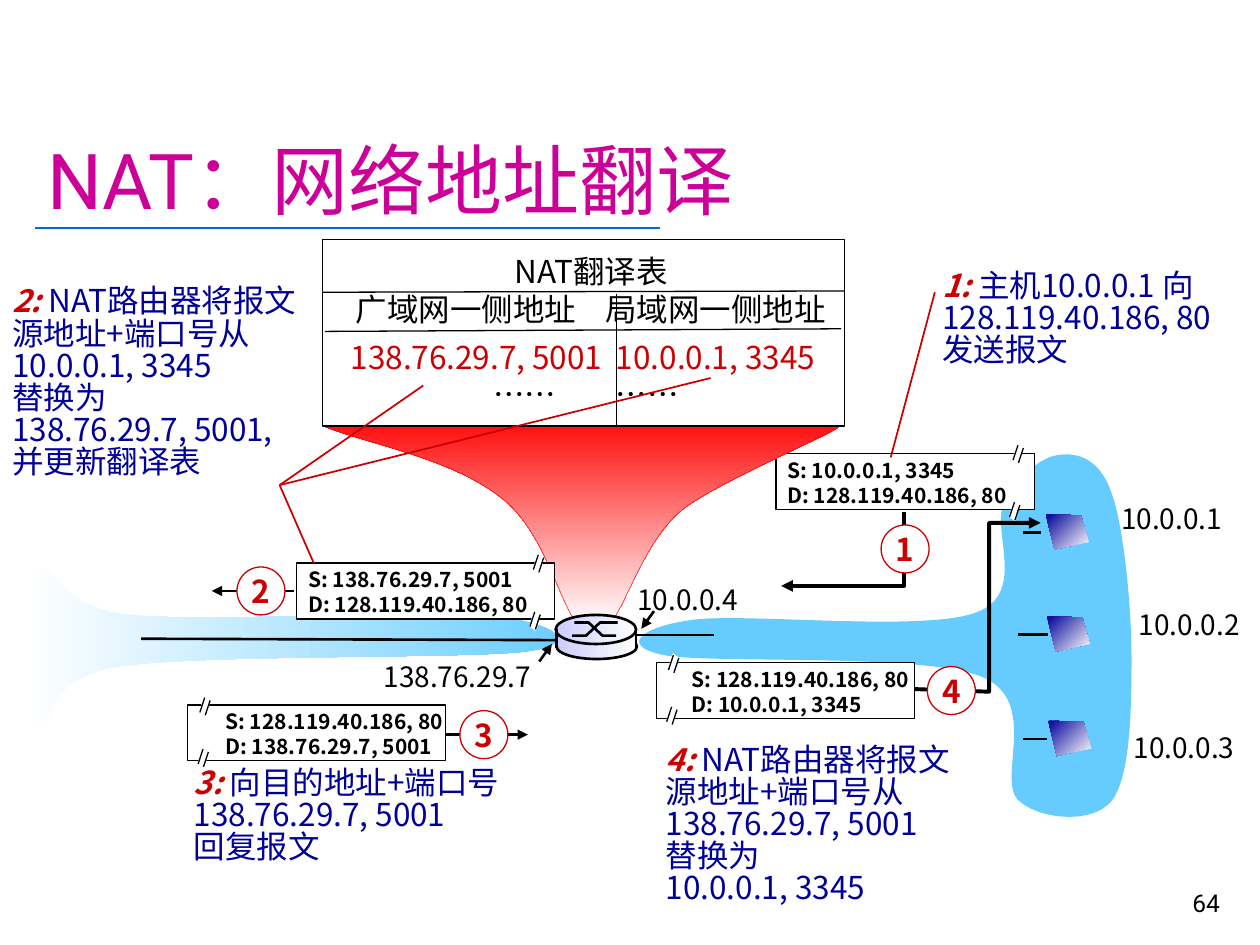
from lxml.etree import SubElement
from pptx import Presentation
from pptx.dml.color import RGBColor
from pptx.enum.shapes import MSO_CONNECTOR, MSO_SHAPE
from pptx.enum.text import MSO_ANCHOR, PP_ALIGN
from pptx.oxml.ns import qn
from pptx.util import Pt

BLACK = RGBColor(0x00, 0x00, 0x00)
WHITE = RGBColor(0xFF, 0xFF, 0xFF)
RED = RGBColor(0xCC, 0x00, 0x00)
FLAME = RGBColor(0xFF, 0x00, 0x00)
NAVY = RGBColor(0x00, 0x00, 0x99)
SKY = RGBColor(0x66, 0xCC, 0xFF)
LILAC = RGBColor(0xCC, 0xCC, 0xFF)
MAGENTA = RGBColor(0xCC, 0x00, 0x99)
BLUE = RGBColor(0x00, 0x70, 0xC0)
FONT = "Noto Sans CJK SC"


def text(slide, box, lines, shape=None, size=18, color=BLACK, bold=False, font=FONT,
         align=PP_ALIGN.LEFT, anchor=MSO_ANCHOR.TOP, spacing=None, lead="", inset=7.2, tabs=()):
    """Write one paragraph a line; a newline is a line break, lead a red opening run."""
    shape = shape or slide.shapes.add_textbox(*map(Pt, box))
    frame = shape.text_frame
    frame.word_wrap = True
    frame.vertical_anchor = anchor
    frame.margin_left = frame.margin_right = Pt(inset)
    for i, line in enumerate(lines):
        para = frame.paragraphs[0] if i == 0 else frame.add_paragraph()
        para.alignment = align
        if spacing:
            para.line_spacing = spacing
        if "\t" in line:
            stops = SubElement(para._p.get_or_add_pPr(), qn("a:tabLst"))
            for tab in tabs:
                SubElement(stops, qn("a:tab"), pos=str(Pt(tab)), algn="l")
        runs = [(lead, RED, True)] if lead and i == 0 else []
        for j, part in enumerate(line.split("\n")):
            if j:
                runs.append(None)
            runs.append((part, color, bold))
        for item in runs:
            if item is None:
                para.add_line_break()
                continue
            run = para.add_run()
            run.text, run.font.color.rgb, run.font.bold = item
            run.font.size, run.font.name = Pt(size), font
            run.font.italic = item[0] == lead
            SubElement(run.font._element, qn("a:ea"), typeface=FONT)
    return shape


def style(shape, fill=None, line=None, width=0.75, angle=0):
    """Fill with a colour or a pair of gradient colours, then set the outline."""
    shape.shadow.inherit = False
    if fill is None:
        shape.fill.background()
    elif isinstance(fill, list):
        shape.fill.gradient()
        shape.fill.gradient_angle = -angle % 360
        for stop, color in zip(shape.fill.gradient_stops, fill):
            stop.color.rgb = color
    else:
        shape.fill.solid()
        shape.fill.fore_color.rgb = fill
    if line is None:
        shape.line.fill.background()
    else:
        shape.line.color.rgb = line
        shape.line.width = Pt(width)
    return shape


def preset(slide, kind, box, **look):
    return style(slide.shapes.add_shape(kind, *map(Pt, box)), **look)


def outline(slide, x, y, points, close=True, **look):
    spots = [(Pt(x + a), Pt(y + b)) for a, b in points]
    maker = slide.shapes.build_freeform(*spots[0])
    maker.add_line_segments(spots[1:], close=close)
    return style(maker.convert_to_shape(), **look)


def curve(slide, x, y, points, **look):
    """Closed outline of cubic Bezier curves: a start, then three points each."""
    shape = outline(slide, x, y, points, close=False, **look)
    path = next(shape._element.iter(qn("a:path")))
    for i, step in enumerate(path.findall(qn("a:lnTo"))):
        if i % 3 == 0:
            bend = SubElement(path, qn("a:cubicBezTo"))
        bend.append(step[0])
        path.remove(step)
    SubElement(path, qn("a:close"))


def arrow(shape, end):
    SubElement(shape._element.spPr.get_or_add_ln(), qn("a:" + end), type="triangle")


def line(slide, x1, y1, x2, y2, color=BLACK, width=1.5, tip=False):
    link = slide.shapes.add_connector(MSO_CONNECTOR.STRAIGHT, *map(Pt, (x1, y1, x2, y2)))
    link.line.color.rgb = color
    link.line.width = Pt(width)
    if tip:
        arrow(link, "tailEnd")
    SubElement(link._element.spPr, qn("a:effectLst"))


def route(slide, x, y, points):
    """Bent thick line with its arrowhead at the first point."""
    arrow(outline(slide, x, y, points, close=False, line=BLACK, width=2.25), "headEnd")


def badge(slide, x, y, label):
    disc = preset(slide, MSO_SHAPE.OVAL, (x, y, 27.4, 27.4), fill=WHITE, line=RED)
    text(slide, None, [label], shape=disc, color=RED, bold=True, inset=0,
         align=PP_ALIGN.CENTER, anchor=MSO_ANCHOR.MIDDLE)


def packet(slide, x, y, source, target, indent, cuts):
    preset(slide, MSO_SHAPE.RECTANGLE, (x, y, 147.5, 31.9), fill=WHITE, line=BLACK)
    text(slide, (x + indent, y - 1.6, 150, 36.7), ["S: " + source, "D: " + target],
         size=12, bold=True)
    for dx, dy in cuts:
        a, b = x + dx, y + dy
        outline(slide, a, b, [(2.9, 0), (0, 9.4), (3.6, 12.2), (6.5, 2.9)], fill=WHITE)
        for shift, drop in ((0, 0), (3.1, 1.6)):
            line(slide, a + 3.2 + shift, b + 1.2 + drop, a + 0.4 + shift, b + 9.7 + drop,
                 width=0.75)


def note(slide, box, lead, lines):
    text(slide, box, lines, lead=lead, color=NAVY, spacing=0.85)


def clouds(slide):
    curve(slide, 14.4, 316.1, [
        (267.8, 36), (229.7, 32.4), (102.2, 39.6), (59, 35.3), (15.8, 31), (16.6, 0),
        (7.9, 10.8), (0, 20.9), (0.7, 88.6), (7.9, 97.9), (15.8, 106.6), (6.5, 72),
        (52.6, 64.8), (99.4, 57.6), (250.6, 60.5), (285.8, 56.2), (321.8, 51.1),
        (299.5, 39.6), (267.8, 36)], fill=[WHITE, SKY])
    curve(slide, 352.1, 258.5, [
        (43.2, 95.8), (73.4, 91.4), (176.4, 103), (205.9, 91.4), (235.4, 80.6),
        (213.8, 43.9), (221.8, 28.8), (229, 13.7), (243.4, 2.2), (253.4, 1.4),
        (263.5, 0), (276.5, 3.6), (283, 23), (290.2, 42.5), (294.5, 88.6),
        (294.5, 118.1), (294.5, 147.6), (293.8, 185.8), (283, 199.4), (272.2, 212.4),
        (241.9, 210.2), (229.7, 198.7), (217.4, 186.5), (242.6, 141.8), (208.8, 128.2),
        (175, 114.5), (54.7, 121), (27.4, 115.9), (0, 110.2), (15.8, 99.4),
        (43.2, 95.8)], fill=SKY)


def funnel(slide, x, y):
    curve(slide, x, y, [
        (0, 7.9), (0, 7.9), (259.9, 0), (294.5, 7.9), (304.6, 7.2), (226.8, 38.9),
        (205.2, 56.2), (183.6, 74.2), (173.5, 110.9), (164.2, 121), (164.2, 121),
        (145.4, 121), (145.4, 121), (135.4, 108.7), (126.7, 68.4), (103, 49.7),
        (73.4, 25.9), (23.8, 18), (0, 7.9)], fill=[FLAME, WHITE], angle=90,
        line=FLAME, width=0.25)


def table(slide, x, y, w, h):
    """Translation table, drawn as a ruled panel."""
    preset(slide, MSO_SHAPE.RECTANGLE, (x, y, w, h), fill=WHITE, line=BLACK)
    head = text(slide, (x + 1.5, y + 3.6, 303.8, 51), ["NAT翻译表", "广域网一侧地址\t局域网一侧地址"],
                inset=17.6, tabs=[142.5])
    head.text_frame.paragraphs[0].alignment = PP_ALIGN.CENTER
    head.text_frame.margin_right = Pt(10)
    head.width = Pt(303.8 - 7.6)
    line(slide, x, y + 30.2, x + w, y + 29.5, width=0.75)
    line(slide, x + 1.4, y + 52.6, x + w - 2, y + 51.1, width=0.75)
    line(slide, x + 167.8, y + 31, x + 167.8, y + h, width=0.75)
    body = text(slide, (x + 9, y + 52.6, 310, 51), ["138.76.29.7, 5001\t10.0.0.1, 3345", "\t……\t……"],
                color=RED, tabs=[81.4, 151.6])
    for run in body.text_frame.paragraphs[1].runs:
        run.font.color.rgb = BLACK


def router(slide, x, y):
    shade = {"fill": [LILAC, WHITE]}
    rim = {"line": BLACK, "width": 1.5}
    preset(slide, MSO_SHAPE.OVAL, (x + 0.5, y + 10.8, 46, 14.4), **shade, **rim)
    preset(slide, MSO_SHAPE.RECTANGLE, (x + 0.5, y + 9.4, 46, 8.6), **shade)
    preset(slide, MSO_SHAPE.OVAL, (x, y, 46, 16.6), **shade, **rim)
    outline(slide, x + 9.4, y + 4.3, [(0, 7.5), (8, 7.5), (16, 0), (26, 0)], close=False, **rim)
    outline(slide, x + 10.8, y + 4.3, [(0, 0), (8, 0), (16, 7.5), (23.8, 7.5)], close=False, **rim)
    for side in (0.5, 46):
        line(slide, x + side, y + 8, x + side, y + 19)


def host(slide, x, y, name, shift, stub):
    line(slide, x + stub[0], y + 10.4, x + stub[1], y + 10.4)
    outline(slide, x, y, [(0, 0), (20.2, 0.7), (24.5, 15.8), (5, 20.2)],
            fill=[NAVY, WHITE], angle=45)
    text(slide, (x + shift[0], y + shift[1], 79.2, 26.6), [name], size=16)


def build():
    deck = Presentation()
    deck.slide_width, deck.slide_height = Pt(720), Pt(540)
    slide = deck.slides.add_slide(deck.slide_layouts[6])
    right, left = [(135, -6), (133, 26.6)], [(6.5, -5.5), (5.5, 24)]

    line(slide, 20.2, 130.3, 377.3, 130.3, color=BLUE, width=1.25)
    text(slide, (19.8, 16.6, 684.7, 115.2), ["NAT：网络地址翻译"], size=44, color=MAGENTA,
         font="Roboto", anchor=MSO_ANCHOR.BOTTOM)
    text(slide, (554.4, 491.8, 149.8, 36), ["64"], size=14, font="Roboto",
         align=PP_ALIGN.RIGHT, anchor=MSO_ANCHOR.BOTTOM)

    clouds(slide)
    line(slide, 360.7, 362.9, 408.2, 362.9)
    packet(slide, 443.5, 259.2, "10.0.0.1, 3345", "128.119.40.186, 80", -0.7, right)
    route(slide, 446.4, 292.3, [(0, 42.5), (70.4, 42.5), (70.4, 0)])
    badge(slide, 503.5, 300, "1")
    text(slide, (357.1, 329.3, 79.2, 26.6), ["10.0.0.4"], size=16)
    line(slide, 373.7, 349.2, 366.5, 359.3, tip=True)
    text(slide, (212.2, 373.3, 103.7, 26.6), ["138.76.29.7"], size=16)
    line(slide, 308.2, 378, 315.4, 367.9, tip=True)
    note(slide, (531.4, 151.9, 187.2, 62.6), "1: ",
         ["主机10.0.0.1 向", "128.119.40.186, 80\n发送报文"])
    line(slide, 534.2, 167, 509, 261.4, color=RED, width=1)

    funnel(slide, 184.3, 235.4)
    table(slide, 184.3, 136.8, 298.4, 106.6)

    packet(slide, 375.1, 378.7, "128.119.40.186, 80", "10.0.0.1, 3345", 13, left)
    route(slide, 522.7, 298.8, [(72, 0), (42.5, 0), (42.5, 96.5), (0, 95)])
    badge(slide, 529.9, 380.9, "4")
    packet(slide, 169.4, 321.8, "138.76.29.7, 5001", "128.119.40.186, 80", -0.4, right)
    line(slide, 167.8, 337.7, 121, 337.7, tip=True)
    badge(slide, 135.4, 324, "2")
    note(slide, (0, 160.6, 178.6, 118.8), "2: ",
         ["NAT路由器将报文\n源地址+端口号从\n10.0.0.1, 3345\n替换为\n138.76.29.7, 5001,\n并更新翻译表"])
    for end in ((179.3, 321.8), (241.9, 220.3), (406.1, 216)):
        line(slide, 159.8, 277.2, *end, color=RED, width=1)
    packet(slide, 107.3, 402.9, "128.119.40.186, 80", "138.76.29.7, 5001", 14.4, left)
    line(slide, 254.9, 419.8, 301.7, 419.8, tip=True)
    badge(slide, 262.8, 406.1, "3")
    note(slide, (103.7, 435.6, 196.6, 62.6), "3: ",
         ["向目的地址+端口号\n138.76.29.7, 5001\n回复报文"])
    note(slide, (373.4, 422.6, 178.6, 117.4), "4: ",
         ["NAT路由器将报文\n源地址+端口号从\n138.76.29.7, 5001\n替换为\n10.0.0.1, 3345"])

    line(slide, 80.6, 365, 319, 365.8)
    router(slide, 317.5, 351.4)
    host(slide, 597.6, 293.8, "10.0.0.1", (36, -10.8), (-13, -3))
    host(slide, 598.3, 352.1, "10.0.0.2", (45.4, -8.7), (-16.5, 0.7))
    host(slide, 599, 411.8, "10.0.0.3", (41.8, 2.2), (-14.4, -0.7))
    deck.save("out.pptx")


if __name__ == "__main__":
    build()
